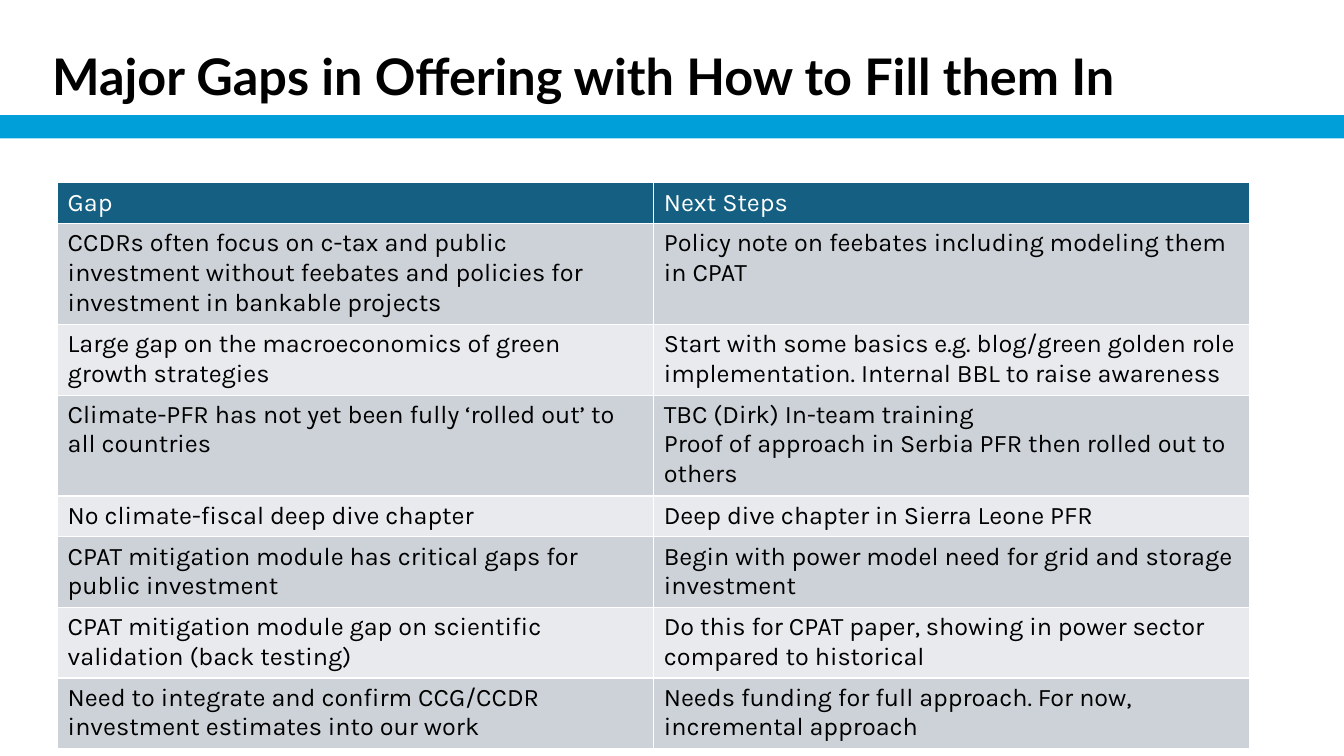
from pptx import Presentation
from pptx.dml.color import RGBColor
from pptx.enum.shapes import MSO_SHAPE
from pptx.enum.text import MSO_ANCHOR
from pptx.util import Pt

# Content
TITLE = "Major Gaps in Offering with How to Fill them In"
ROWS = [
    ("Gap", "Next Steps"),
    ("CCDRs often focus on c-tax and public investment without feebates and "
     "policies for investment in bankable projects",
     "Policy note on feebates including modeling them in CPAT"),
    ("Large gap on the macroeconomics of green growth strategies",
     "Start with some basics e.g. blog/green golden role implementation. "
     "Internal BBL to raise awareness"),
    ("Climate-PFR has not yet been fully ‘rolled out’ to all countries",
     "TBC (Dirk) In-team training\n"
     "Proof of approach in Serbia PFR then rolled out to others"),
    ("No climate-fiscal deep dive chapter",
     "Deep dive chapter in Sierra Leone PFR"),
    ("CPAT mitigation module has critical gaps for public investment",
     "Begin with power model need for grid and storage investment"),
    ("CPAT mitigation module gap on scientific validation (back testing)",
     "Do this for CPAT paper, showing in power sector compared to historical"),
    ("Need to integrate and confirm CCG/CCDR investment estimates into our work",
     "Needs funding for full approach. For now, incremental approach"),
]

# Colours and sizes
BLACK = RGBColor(0x00, 0x00, 0x00)
WHITE = RGBColor(0xFF, 0xFF, 0xFF)
BAND_BLUE = RGBColor(0x00, 0x9F, 0xDA)
HEADER = RGBColor(0x15, 0x60, 0x82)
ROW_FILLS = (RGBColor(0xE8, 0xEA, 0xED), RGBColor(0xCC, 0xD2, 0xD8))
COL_WIDTH, ROW_HEIGHT = 425.8, 29.2

prs = Presentation()
prs.slide_width, prs.slide_height = Pt(960), Pt(540)
s = prs.slides.add_slide(prs.slide_layouts[6])

# Band under the title
band = s.shapes.add_shape(MSO_SHAPE.RECTANGLE, Pt(0), Pt(82.2), Pt(961), Pt(16.6))
band.shadow.inherit = False
band.fill.solid()
band.fill.fore_color.rgb = BAND_BLUE
band.line.fill.background()

# Title
tf = s.shapes.add_textbox(Pt(30.2), Pt(37.4), Pt(898.6), Pt(45.4)).text_frame
tf.word_wrap = True
tf.vertical_anchor = MSO_ANCHOR.TOP
p = tf.paragraphs[0]
p.text = TITLE
p.line_spacing = 0.8
p.font.name, p.font.size, p.font.bold = "Lato", Pt(36), True
p.font.color.rgb = BLACK

# Table: rows grow to fit their text
frame = s.shapes.add_table(len(ROWS), 2, Pt(41.2), Pt(130.6),
                           Pt(2 * COL_WIDTH), Pt(len(ROWS) * ROW_HEIGHT))
table = frame.table
for i, texts in enumerate(ROWS):
    for j, text in enumerate(texts):
        cell = table.cell(i, j)
        cell.text = text
        cell.fill.solid()
        cell.fill.fore_color.rgb = ROW_FILLS[i % 2] if i else HEADER
        for p in cell.text_frame.paragraphs:
            p.font.name, p.font.size, p.font.bold = "Karla", Pt(18), False
            p.font.color.rgb = BLACK if i else WHITE
frame.height = Pt(404)

prs.save("out.pptx")
